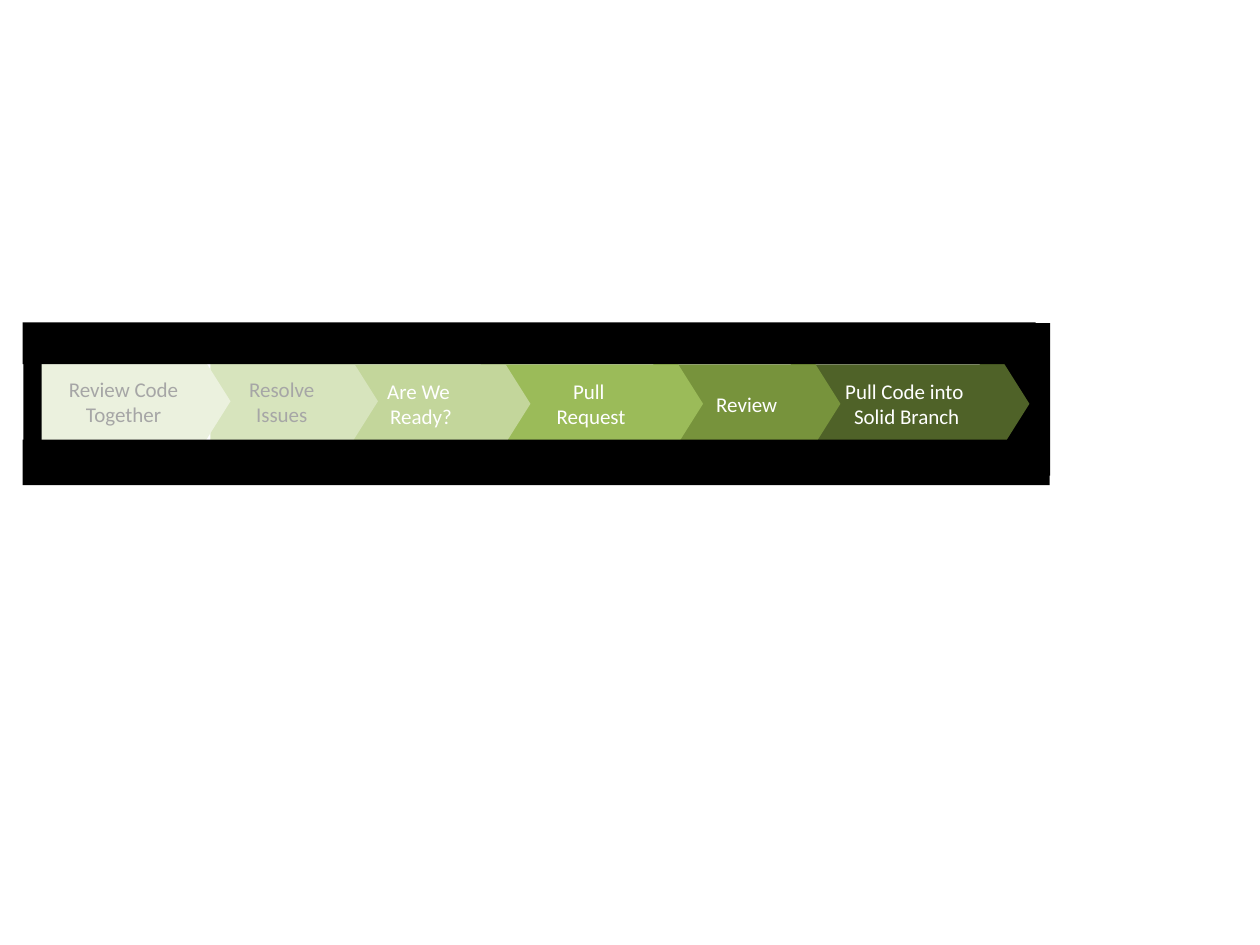
from pptx import Presentation
from pptx.dml.color import RGBColor
from pptx.enum import shapes, text
from pptx.util import Inches, Pt

COLORS = {
    "band": "000000",
    "white": "FFFFFF",
    "muted": "A6A6A6",
    "together": "EBF1DE",
    "resolve": "D7E4BD",
    "ready": "C3D69B",
    "pull": "9BBB59",
    "review": "77933C",
    "solid": "4F6228",
}

STEPS = [
    (6.24, 0.02, 1.75, "solid", "white", ["Pull Code into ", "Solid Branch"]),
    (5.20, 0.02, 1.29, "review", "white", ["Review"]),
    (3.82, 0.02, 1.58, "pull", "white", ["Pull ", "Request"]),
    (2.49, 0.02, 1.54, "ready", "white", ["Are We ", "Ready?"]),
    (1.49, 0, 1.33, "resolve", "muted", ["Resolve Issues"]),
    (0.15, 0, 1.50, "together", "muted", ["Review Code Together"]),
]
STEP_HEIGHT = 1.25


def add_block(slide, kind, left, top, width, height, fill):
    block = slide.shapes.add_shape(
        kind, Inches(left), Inches(top), Inches(width), Inches(height)
    )
    block.shadow.inherit = False
    block.fill.solid()
    block.fill.fore_color.rgb = RGBColor.from_string(COLORS[fill])
    block.line.fill.background()
    return block


def add_band(slide, left, top, width, height, rotation=0):
    band = add_block(
        slide, shapes.MSO_SHAPE.RECTANGLE, left, top, width, height, "band"
    )
    band.rotation = rotation


def add_step(slide, left, top, width, fill, ink, lines):
    arrow = add_block(
        slide, shapes.MSO_SHAPE.RIGHT_ARROW, left, top, width, STEP_HEIGHT, fill
    )
    arrow.adjustments[0] = 0.5
    arrow.adjustments[1] = 0.315
    frame = arrow.text_frame
    frame.word_wrap = True
    frame.vertical_anchor = text.MSO_ANCHOR.MIDDLE
    frame.text = "\n".join(lines)
    for paragraph in frame.paragraphs:
        paragraph.alignment = text.PP_ALIGN.CENTER
        paragraph.font.name = "Calibri"
        paragraph.font.size = Pt(12)
        paragraph.font.color.rgb = RGBColor.from_string(COLORS[ink])


def add_process(slide, left, top):
    add_band(slide, left + 7.34, top + 0.4, 1.21, 0.42, rotation=90)
    for index, (dx, dy, width, fill, ink, lines) in enumerate(STEPS):
        if index == 3:
            add_band(slide, left - 0.39, top + 0.44, 1.21, 0.42, rotation=90)
        add_step(slide, left + dx, top + dy, width, fill, ink, lines)
    add_band(slide, left, top, 8.04, 0.33)
    add_band(slide, left, top + 0.93, 8.15, 0.36)


def main():
    presentation = Presentation()
    presentation.slide_width = Inches(10)
    presentation.slide_height = Inches(7.5)
    slide = presentation.slides.add_slide(presentation.slide_layouts[6])
    add_process(slide, 0.18, 2.56)
    presentation.save("out.pptx")


if __name__ == "__main__":
    main()
